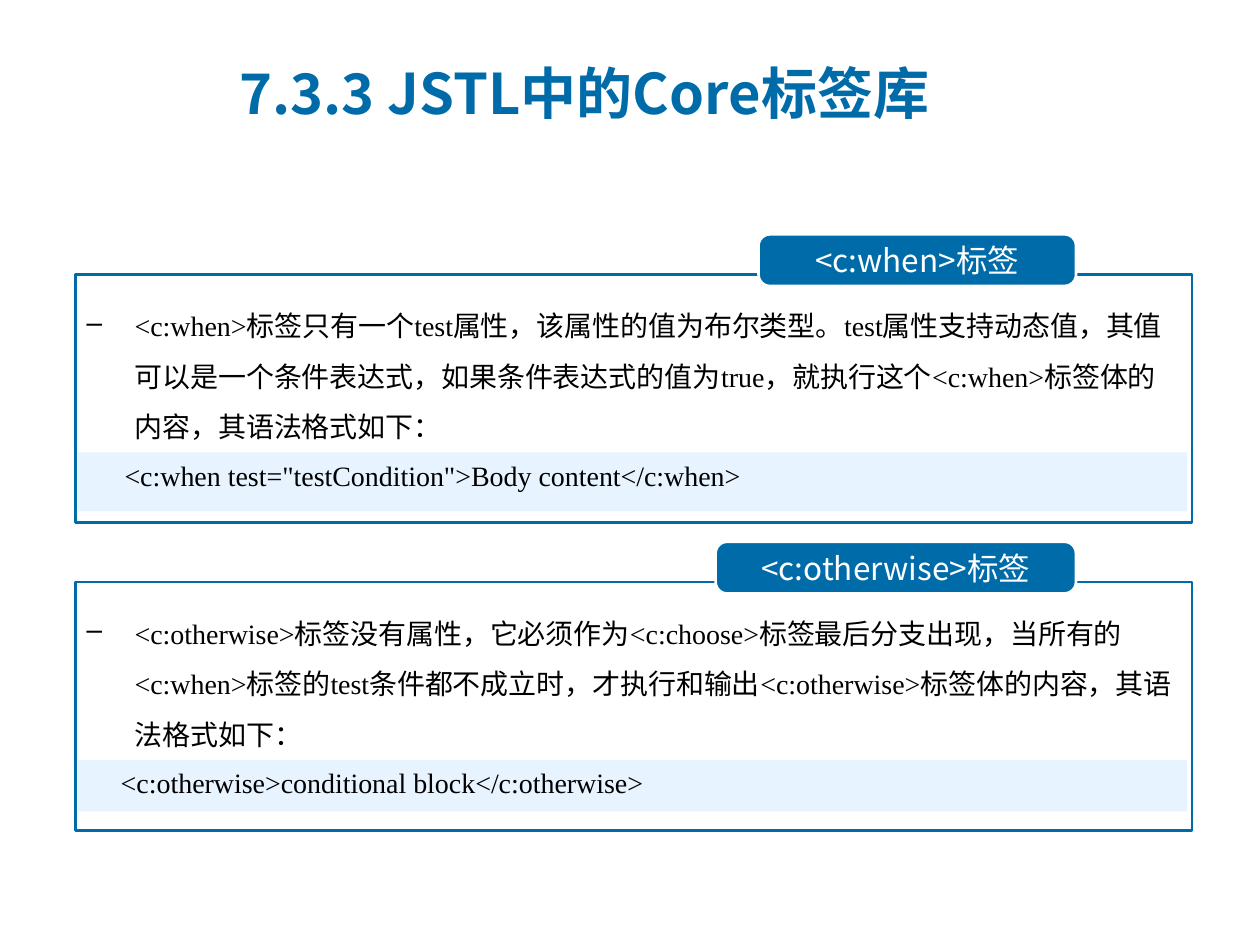
from dataclasses import dataclass

from lxml import etree
from pptx import Presentation
from pptx import util as u
from pptx.dml.color import RGBColor
from pptx.enum import shapes, text
from pptx.oxml.ns import qn

BLUE = RGBColor(0x00, 0x6B, 0xA9)
PALE = RGBColor(0xE7, 0xF4, 0xFF)
WHITE = RGBColor(0xFF, 0xFF, 0xFF)
BLACK = RGBColor(0x00, 0x00, 0x00)
SANS, SERIF = "Noto Sans CJK SC", "Times New Roman"

# The slide is a grid of 100 columns by 75 rows.
WIDTH, HEIGHT = u.Inches(10), u.Inches(7.5)
COLUMN, ROW = WIDTH / 100, HEIGHT / 75

PANEL_LEFT, PANEL_WIDTH, PANEL_HEIGHT = 6, 88.6, 19.7
TAB_RIGHT, TAB_HEIGHT, TAB_RISE = 85.4, 4.1, 3.2
CODE_LEFT, CODE_WIDTH, CODE_DROP = 6.2, 88, 14.1

TITLE_FONT = dict(name=SANS, size=u.Pt(32), bold=True)
TAB_FONT = dict(name=SANS, size=u.Pt(18))
BODY_FONT = dict(name=SERIF, size=u.Pt(16))


@dataclass(frozen=True)
class Panel:
    top: float
    tab_width: float
    tab: str
    body: str
    code: str
    code_height: float
    code_indent: float


PANELS = [
    Panel(21.8, 25.2, "<c:when>标签",
          "<c:when>标签只有一个test属性，该属性的值为布尔类型。test属性支持动态值，"
          "其值可以是一个条件表达式，如果条件表达式的值为true，"
          "就执行这个<c:when>标签体的内容，其语法格式如下：",
          '<c:when test="testCondition">Body content</c:when>', 4.7, 2.7),
    Panel(46.2, 28.6, "<c:otherwise>标签",
          "<c:otherwise>标签没有属性，它必须作为<c:choose>标签最后分支出现，"
          "当所有的<c:when>标签的test条件都不成立时，"
          "才执行和输出<c:otherwise>标签体的内容，其语法格式如下：",
          "<c:otherwise>conditional block</c:otherwise>", 4.1, 2.4),
]


def place(left: float, top: float, width: float, height: float) -> list[int]:
    """Turn grid columns and rows into slide lengths."""
    return [round(n * step) for n, step in
            zip((left, top, width, height), (COLUMN, ROW, COLUMN, ROW))]


def write(sp, content: str, font: dict, color: RGBColor, **frame):
    """Put one run in the shape and return its paragraph."""
    tf = sp.text_frame
    for key, value in dict(word_wrap=True, **frame).items():
        setattr(tf, key, value)
    p = tf.paragraphs[0]
    p.alignment = text.PP_ALIGN.LEFT
    r = p.add_run()
    r.text = content
    for key, value in font.items():
        setattr(r.font, key, value)
    r.font.color.rgb = color
    latin = r._r.rPr.find(qn("a:latin"))
    latin.addnext(etree.Element(qn("a:ea"), typeface=SANS))
    return p


def indent(p, left: float, first: float = 0) -> None:
    pPr = p._p.get_or_add_pPr()
    pPr.set("marL", str(round(left * COLUMN)))
    pPr.set("indent", str(round(first * COLUMN)))


def add_box(slide, kind, area: list[int], fill=None, line=None):
    sp = slide.shapes.add_shape(kind, *area)
    sp.shadow.inherit = False
    if fill is None:
        sp.fill.background()
    else:
        sp.fill.solid()
        sp.fill.fore_color.rgb = fill
    if line is None:
        sp.line.fill.background()
    else:
        sp.line.color.rgb = line
        sp.line.width = u.Pt(1.5)
    return sp


def add_body(slide, panel: Panel) -> None:
    sp = slide.shapes.add_textbox(
        *place(PANEL_LEFT - 0.1, panel.top + 0.9, PANEL_WIDTH, 12.5))
    p = write(sp, panel.body, BODY_FONT, BLACK)
    p.line_spacing = 1.5
    p.space_before = u.Pt(3.2)
    indent(p, 3.8, -3.8)
    etree.SubElement(p._p.pPr, qn("a:buChar"), char="–")


def add_tab(slide, panel: Panel) -> None:
    sp = add_box(slide, shapes.MSO_SHAPE.ROUNDED_RECTANGLE,
                 place(TAB_RIGHT - panel.tab_width, panel.top - TAB_RISE,
                       panel.tab_width, TAB_HEIGHT), BLUE, WHITE)
    sp.adjustments[0] = 0.22
    p = write(sp, panel.tab, TAB_FONT, WHITE,
              vertical_anchor=text.MSO_ANCHOR.MIDDLE,
              margin_top=u.Inches(0.06), margin_bottom=u.Inches(0.06))
    p.alignment = text.PP_ALIGN.CENTER


def add_code(slide, panel: Panel) -> None:
    sp = add_box(slide, shapes.MSO_SHAPE.RECTANGLE,
                 place(CODE_LEFT, panel.top + CODE_DROP,
                       CODE_WIDTH, panel.code_height), PALE)
    p = write(sp, panel.code, BODY_FONT, BLACK,
              vertical_anchor=text.MSO_ANCHOR.TOP)
    indent(p, panel.code_indent)


def add_panel(slide, panel: Panel) -> None:
    add_body(slide, panel)
    add_box(slide, shapes.MSO_SHAPE.RECTANGLE,
            place(PANEL_LEFT, panel.top, PANEL_WIDTH, PANEL_HEIGHT), line=BLUE)
    add_tab(slide, panel)
    add_code(slide, panel)


def add_title(slide, content: str) -> None:
    sp = slide.shapes.title
    sp.left, sp.top, sp.width, sp.height = place(18, 4.3, 67.8, 6.1)
    write(sp, content, TITLE_FONT, BLUE, auto_size=text.MSO_AUTO_SIZE.NONE,
          vertical_anchor=text.MSO_ANCHOR.MIDDLE)


def main() -> None:
    prs = Presentation()
    prs.slide_width, prs.slide_height = WIDTH, HEIGHT
    slide = prs.slides.add_slide(prs.slide_layouts[5])
    add_title(slide, "7.3.3 JSTL中的Core标签库")
    for panel in PANELS:
        add_panel(slide, panel)
    prs.save("out.pptx")


if __name__ == "__main__":
    main()
